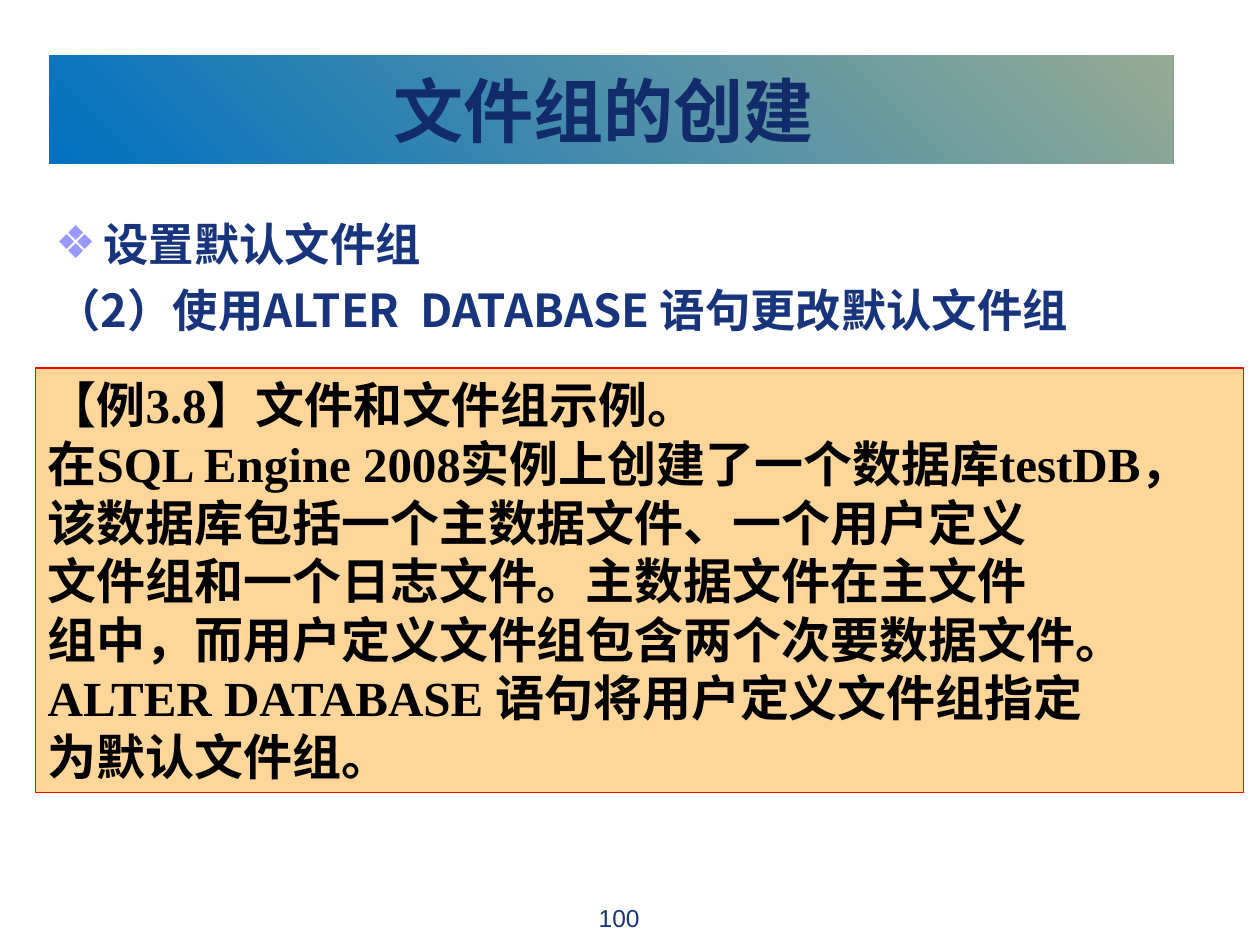
from dataclasses import dataclass

from lxml import etree
from pptx import Presentation
from pptx.dml.color import RGBColor
from pptx.enum.shapes import MSO_SHAPE
from pptx.enum.text import MSO_ANCHOR, MSO_AUTO_SIZE, PP_ALIGN
from pptx.oxml.ns import qn
from pptx.util import Inches, Pt

RECT = MSO_SHAPE.RECTANGLE
MIDDLE, TOP = MSO_ANCHOR.MIDDLE, MSO_ANCHOR.TOP
LEFT, CENTER = PP_ALIGN.LEFT, PP_ALIGN.CENTER
NO_FIT = MSO_AUTO_SIZE.NONE

WIDTH, HEIGHT = Inches(10), Inches(7.5)
SANS, SERIF, PLAIN = "Noto Sans CJK SC", "Times New Roman", "Arial"
COLORS = {
    "blue": "0070C0",
    "sage": "96AB94",
    "navy": "122B6A",
    "ink": "17347D",
    "lilac": "9999FF",
    "peach": "FFD699",
    "red": "FF0000",
    "black": "000000",
}

TITLE = "文件组的创建 "
POINTS = ["设置默认文件组", "（2）使用ALTER  DATABASE 语句更改默认文件组"]
EXAMPLE = [
    "【例3.8】文件和文件组示例。",
    "在SQL Engine 2008实例上创建了一个数据库testDB，",
    "该数据库包括一个主数据文件、一个用户定义",
    "文件组和一个日志文件。主数据文件在主文件",
    "组中，而用户定义文件组包含两个次要数据文件。",
    "ALTER DATABASE 语句将用户定义文件组指定",
    "为默认文件组。",
]


@dataclass(frozen=True)
class Area:
    """A box in percent of the slide's width and height."""
    left: float
    top: float
    width: float
    height: float

    def bounds(self) -> tuple[int, int, int, int]:
        return (int(WIDTH * self.left / 100), int(HEIGHT * self.top / 100),
                int(WIDTH * self.width / 100), int(HEIGHT * self.height / 100))


BANNER = Area(3.9, 5.87, 89.2, 11.47)
LIST = Area(3.4, 22.27, 91.9, 18.27)
PANEL = Area(2.8, 38.93, 95.9, 44.93)
NUMBER = Area(37.5, 94.93, 23.3, 4.53)


def rgb(name: str) -> RGBColor:
    return RGBColor.from_string(COLORS[name])


def place(shape, area: Area) -> None:
    shape.left, shape.top, shape.width, shape.height = area.bounds()


def write(shape, lines: list[str], *, font: str, size: float, color: str,
          bold: bool = True, align=LEFT, anchor=TOP, wrap: bool = True,
          pitch: float | None = None, gap: float = 0) -> None:
    frame = shape.text_frame
    frame.word_wrap, frame.auto_size = wrap, NO_FIT
    frame.vertical_anchor = anchor
    for i, line in enumerate(lines):
        para = frame.paragraphs[0] if i == 0 else frame.add_paragraph()
        para.alignment = align
        para.space_before = Pt(gap if i else 0)
        if pitch:
            para.line_spacing = Pt(pitch)
        run = para.add_run()
        run.text = line
        run.font.name, run.font.size, run.font.bold = font, Pt(size), bold
        run.font.color.rgb = rgb(color)
        east = etree.SubElement(run.font._element, qn("a:ea"))
        east.set("typeface", SANS)


def mark(para, char: str | None) -> None:
    """Give a hanging indent, with a bullet if char is set."""
    props = para._p.get_or_add_pPr()
    props.set("marL", str(Inches(0.38)))
    props.set("indent", str(-Inches(0.38)))
    if char is None:
        etree.SubElement(props, qn("a:buNone"))
        return
    tint = etree.SubElement(props, qn("a:buClr"))
    etree.SubElement(tint, qn("a:srgbClr")).set("val", COLORS["lilac"])
    etree.SubElement(props, qn("a:buChar")).set("char", char)


def main() -> None:
    deck = Presentation()
    deck.slide_width, deck.slide_height = WIDTH, HEIGHT
    slide = deck.slides.add_slide(deck.slide_layouts[1])

    title = slide.shapes.title
    place(title, BANNER)
    title.fill.gradient()
    title.fill.gradient_angle = 45
    for stop, name in zip(title.fill.gradient_stops, ("blue", "sage")):
        stop.color.rgb = rgb(name)
    write(title, [TITLE], font=SANS, size=40, color="navy",
          align=CENTER, anchor=MIDDLE)

    body = slide.placeholders[1]
    place(body, LIST)
    write(body, POINTS, font=SANS, size=25.9, color="ink", pitch=30.7, gap=7)
    for para, char in zip(body.text_frame.paragraphs, ("❖", None)):
        mark(para, char)

    panel = slide.shapes.add_shape(RECT, *PANEL.bounds())
    panel.shadow.inherit = False
    panel.fill.solid()
    panel.fill.fore_color.rgb = rgb("peach")
    panel.line.color.rgb = rgb("red")
    panel.line.width = Pt(0.75)
    write(panel, EXAMPLE, font=SERIF, size=28, color="black",
          anchor=MIDDLE, wrap=False, pitch=33.5)

    number = slide.shapes.add_textbox(*NUMBER.bounds())
    write(number, ["100"], font=PLAIN, size=14, color="ink", bold=False,
          align=CENTER)

    deck.save("out.pptx")


if __name__ == "__main__":
    main()
